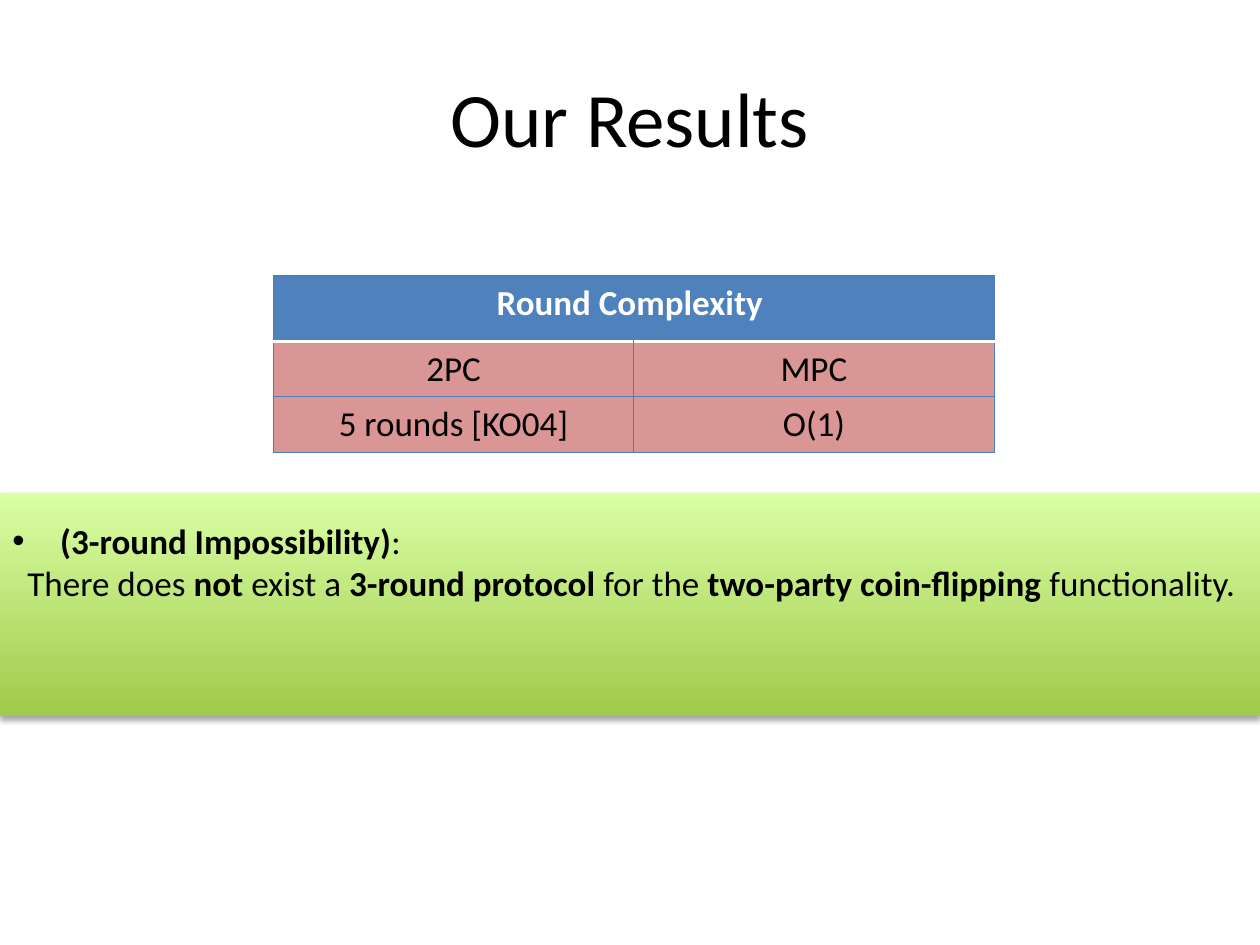
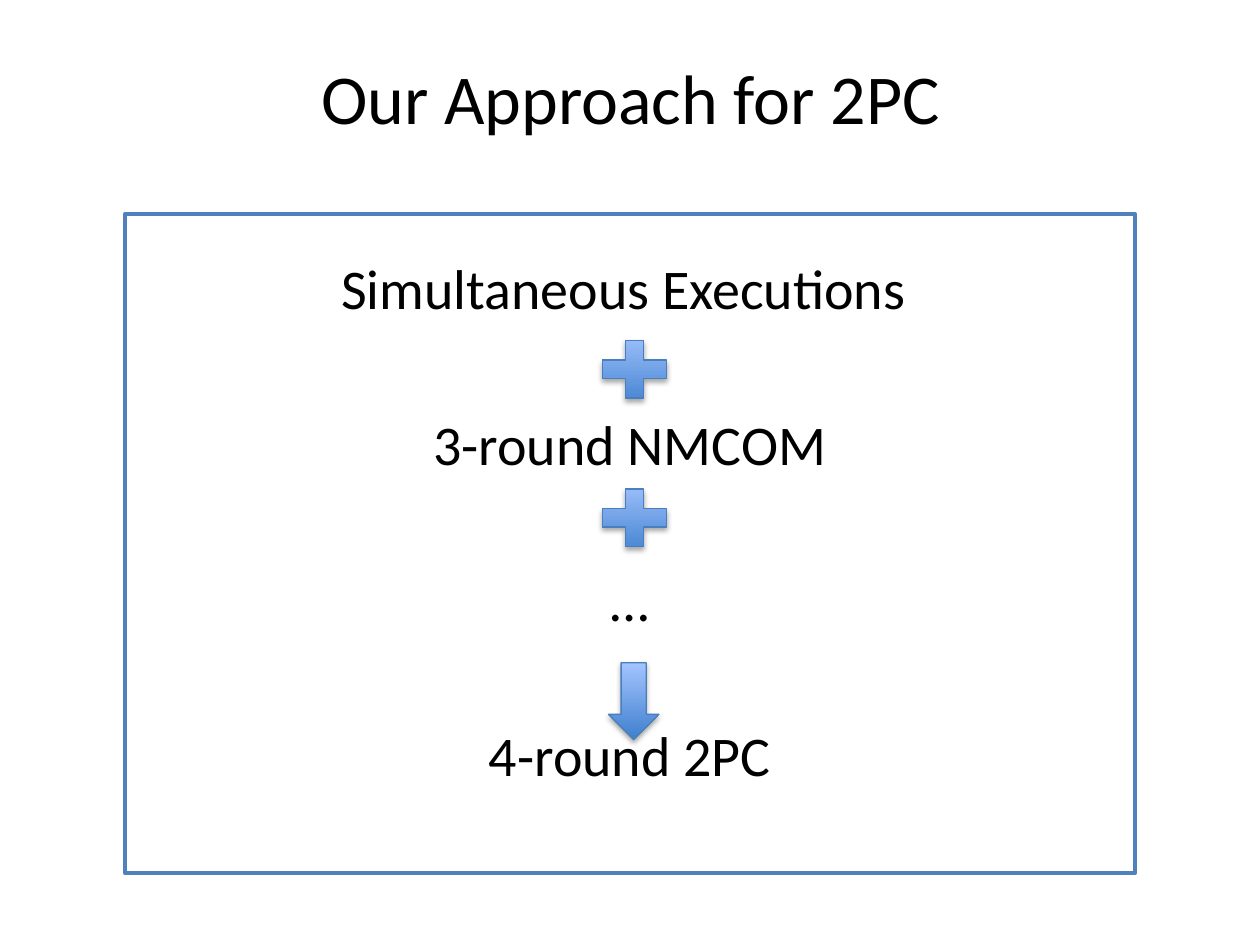
from pptx import Presentation
from pptx.dml.color import RGBColor
from pptx.enum.shapes import MSO_SHAPE as SHAPE
from pptx.enum.text import MSO_ANCHOR as ANCHOR, PP_ALIGN as ALIGN
from pptx.oxml import parse_xml
from pptx.oxml.ns import nsdecls
from pptx.util import Inches, Pt

FONT = "Calibri"
BLACK, WHITE = "000000", "FFFFFF"
BLUE, EDGE, ROSE = "4F81BD", "4B7EBC", "D99694"
GREEN_FADE = ("A0CA4A", "DAFFA5")
BLUE_FADE = ("3F80CE", "A4C4FF")
rgb = RGBColor.from_string


def add_run(p, text, size, bold=False, color=BLACK):
    r = p.add_run()
    r.text = text
    r.font.name, r.font.size, r.font.bold = FONT, Pt(size), bold
    r.font.color.rgb = rgb(color)


def add_glossy(s, kind, box, fade, edge=None):
    """Add a shape with a bottom-to-top gradient and a soft shadow below."""
    sp = s.shapes.add_shape(kind, *map(Inches, box))
    sp.fill.gradient()
    sp.fill.gradient_angle = 90
    for stop, color in zip(sp.fill.gradient_stops, fade):
        stop.color.rgb = rgb(color)
    if edge:
        sp.line.color.rgb = rgb(edge)
        sp.line.width = Pt(0.75)
    else:
        sp.line.fill.background()
    sp._element.spPr.append(parse_xml(
        f'<a:effectLst {nsdecls("a")}><a:outerShdw blurRad="{Pt(3.1)}" dist="{Pt(1.8)}" '
        f'dir="5400000" rotWithShape="0"><a:srgbClr val="{BLACK}"><a:alpha val="35000"/>'
        '</a:srgbClr></a:outerShdw></a:effectLst>'))
    return sp


prs = Presentation()
prs.slide_width, prs.slide_height = Inches(10), Inches(7.5)

# Slides and their titles
titles = [
    ("Our Results", (0.5, 0.3, 9, 1.25), 44, ALIGN.CENTER),
    ("Our Approach for 2PC", (2.45, 0.38, 5.19, 0.77), 40, ALIGN.LEFT),
]
for text, box, size, align in titles:
    s = prs.slides.add_slide(prs.slide_layouts[6])
    tf = s.shapes.add_textbox(*map(Inches, box)).text_frame
    tf.word_wrap = True
    tf.vertical_anchor = ANCHOR.MIDDLE
    tf.paragraphs[0].alignment = align
    add_run(tf.paragraphs[0], text, size)
results, approach = prs.slides

# Results: impossibility band
band = add_glossy(results, SHAPE.RECTANGLE, (0, 3.91, 10, 1.77), GREEN_FADE)
tf = band.text_frame
tf.word_wrap = True
tf.vertical_anchor = ANCHOR.MIDDLE
tf.margin_bottom = Inches(0.73)
statement = [
    (0.38, -0.38, "•", [("(3-round Impossibility)", True), (":", False)]),
    (0.31, -0.19, None, [
        ("There does ", False), ("not", True), (" exist a ", False),
        ("3-round protocol ", True), ("for the ", False),
        ("two-party coin-flipping ", True), ("functionality.", False)]),
]
for i, (left, indent, bullet, runs) in enumerate(statement):
    p = tf.add_paragraph() if i else tf.paragraphs[0]
    p.alignment = ALIGN.JUSTIFY
    pPr = p._p.get_or_add_pPr()
    pPr.set("marL", str(Inches(left)))
    pPr.set("indent", str(Inches(indent)))
    if bullet:
        pPr.append(parse_xml(f'<a:buFont {nsdecls("a")} typeface="Arial"/>'))
        pPr.append(parse_xml(f'<a:buChar {nsdecls("a")} char="{bullet}"/>'))
    for text, bold in runs:
        add_run(p, text, 20, bold)

# Results: round complexity table
rows = [("Round Complexity ", ""), ("2PC", "MPC"), ("5 rounds [KO04]", "O(1)")]
table = results.shapes.add_table(
    3, 2, Inches(2.17), Inches(2.19), Inches(5.72), Inches(1.4)).table
table.horz_banding = False
for row, height in zip(table.rows, (0.52, 0.44, 0.44)):
    row.height = Inches(height)
table.cell(0, 0).merge(table.cell(0, 1))
for i, row in enumerate(rows):
    header = i == 0
    for j, text in enumerate(row):
        cell = table.cell(i, j)
        tcPr = cell._tc.get_or_add_tcPr()
        for side in "LRTB":
            under_header = (i, side) in ((0, "B"), (1, "T"))
            color, width = (WHITE, 2) if under_header else (EDGE, 0.75)
            tcPr.append(parse_xml(
                f'<a:ln{side} {nsdecls("a")} w="{Pt(width)}"><a:solidFill>'
                f'<a:srgbClr val="{color}"/></a:solidFill></a:ln{side}>'))
        cell.fill.solid()
        cell.fill.fore_color.rgb = rgb(BLUE if header else ROSE)
        if text:
            p = cell.text_frame.paragraphs[0]
            p.alignment = ALIGN.CENTER
            add_run(p, text, 20, header, WHITE if header else BLACK)

# Approach: frame, building blocks and the signs between them
frame = approach.shapes.add_shape(
    SHAPE.RECTANGLE, Inches(0.99), Inches(1.7), Inches(8.02), Inches(5.23))
frame.shadow.inherit = False
frame.fill.solid()
frame.fill.fore_color.rgb = rgb(WHITE)
frame.line.color.rgb = rgb(BLUE)
frame.line.width = Pt(2)

tf = approach.shapes.add_textbox(
    Inches(0.5), Inches(1.96), Inches(9), Inches(4.9)).text_frame
tf.word_wrap = True
blocks = ["Simultaneous Executions ", "3-round NMCOM", "…", "4-round 2PC"]
for i, text in enumerate(blocks):
    p = tf.add_paragraph() if i else tf.paragraphs[0]
    p.alignment = ALIGN.CENTER
    if i:
        p.space_before = Pt(50.7)
    add_run(p, text, 32)

for top in (2.62, 3.8):
    add_glossy(approach, SHAPE.MATH_PLUS, (4.69, top, 0.69, 0.62), BLUE_FADE, EDGE)
add_glossy(approach, SHAPE.DOWN_ARROW, (4.83, 5.26, 0.4, 0.61), BLUE_FADE, EDGE)

prs.save("out.pptx")
